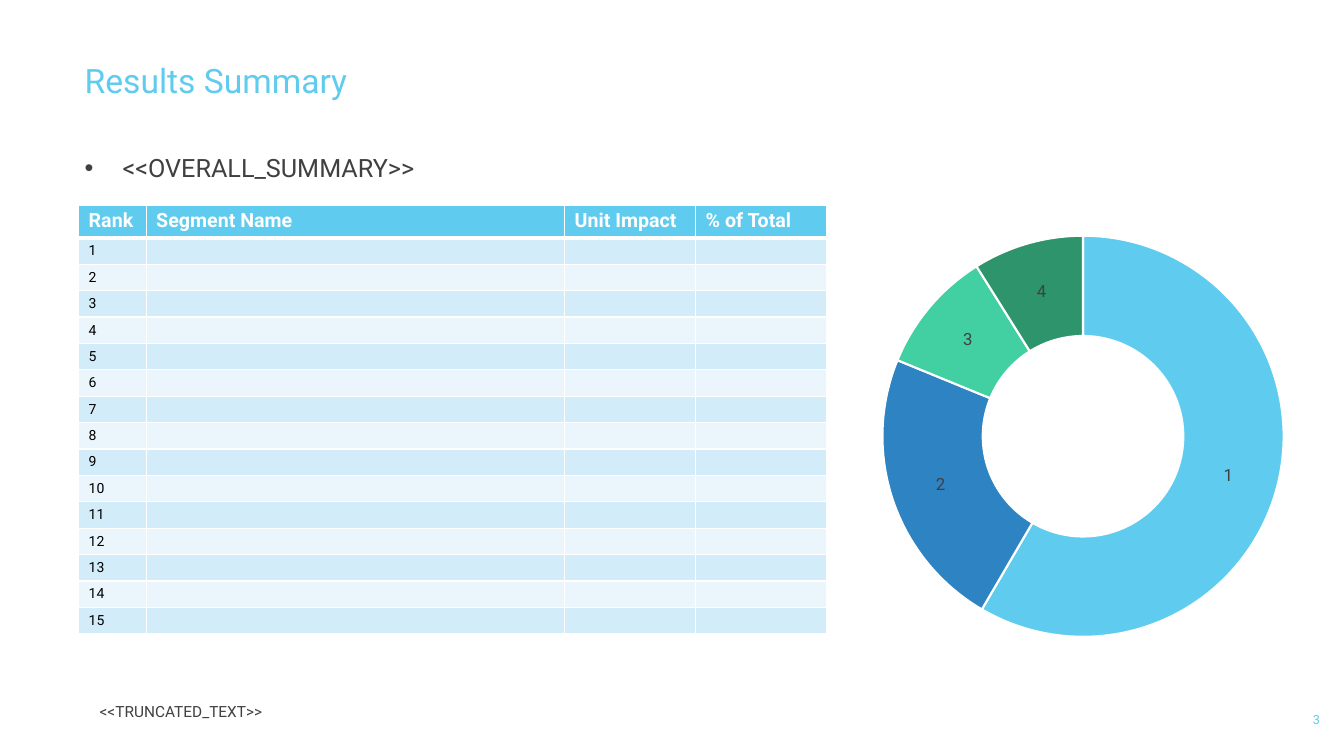
from lxml import etree
from pptx import Presentation
from pptx.chart.data import CategoryChartData
from pptx.dml.color import RGBColor
from pptx.enum.chart import XL_CHART_TYPE as ChartType
from pptx.enum.text import MSO_ANCHOR as Anchor, PP_ALIGN as Align
from pptx.oxml import parse_xml
from pptx.oxml.ns import nsdecls, qn
from pptx.util import Inches, Pt

FONT = "Roboto"
SKY, WHITE, GRAY, BLACK = "5FCBEF", "FFFFFF", "404040", "000000"
BANDS = ("D2ECF9", "EAF6FC")

TITLE = "Results Summary"
SUMMARY = "<<OVERALL_SUMMARY>>"
FOOTNOTE = "<<TRUNCATED_TEXT>>"
PAGE = "3"

COLUMNS = [("Rank", 0.67), ("Segment Name", 4.15), ("Unit Impact", 1.3), ("% of Total", 1.3)]
RANKS = range(1, 16)
HEADER_HEIGHT, ROW_HEIGHT = 0.32, 0.262

SEGMENTS = [("1", 59, SKY), ("2", 23, "2E83C3"), ("3", 10, "42D0A2"), ("4", 9, "2E946B")]
PLOT = {"x": 0.095, "y": 0.075, "w": 0.854, "h": 0.841}
HOLE = 45


def color(code):
    return RGBColor.from_string(code)


def style(font, size, code, bold=False):
    font.name, font.size, font.bold = FONT, Pt(size), bold
    font.color.rgb = color(code)


def write(shape, text, size, code, align=Align.LEFT, anchor=Anchor.TOP):
    frame = shape.text_frame
    frame.text = text
    frame.word_wrap = True
    frame.vertical_anchor = anchor
    line = frame.paragraphs[0]
    line.alignment = align
    line.space_before = Pt(0)
    style(line.runs[0].font, size, code)


def place(shape, left, top, width, height):
    shape.left, shape.top = Inches(left), Inches(top)
    shape.width, shape.height = Inches(width), Inches(height)


def add_label(slide, box, *text_args, **text_options):
    write(slide.shapes.add_textbox(*map(Inches, box)), *text_args, **text_options)


def set_borders(cell, bottom):
    properties = cell._tc.get_or_add_tcPr()
    for side, points in (("L", 1), ("R", 1), ("T", 1), ("B", bottom)):
        properties.append(parse_xml(
            f'<a:ln{side} {nsdecls("a")} w="{Pt(points)}"><a:solidFill>'
            f'<a:srgbClr val="{WHITE}"/></a:solidFill></a:ln{side}>'))


def fill_cell(cell, text, size, code, fill, bold, anchor, bottom):
    set_borders(cell, bottom)
    cell.fill.solid()
    cell.fill.fore_color.rgb = color(fill)
    cell.margin_top = cell.margin_bottom = Inches(0.04)
    cell.vertical_anchor = anchor
    line = cell.text_frame.paragraphs[0]
    if text:
        line.text = text
        style(line.runs[0].font, size, code, bold)
    else:  # an empty cell keeps its row low only with a small end mark
        etree.SubElement(line._p, qn("a:endParaRPr"), sz=str(size * 100))


def add_ranking(slide):
    height = HEADER_HEIGHT + ROW_HEIGHT * len(RANKS)
    width = sum(width for _, width in COLUMNS)
    frame = slide.shapes.add_table(len(RANKS) + 1, len(COLUMNS), Inches(0.78), Inches(2.04),
                                   Inches(width), Inches(height))
    ranking = frame.table
    ranking.rows[0].height = Inches(HEADER_HEIGHT)
    for col, (heading, width) in enumerate(COLUMNS):
        ranking.columns[col].width = Inches(width)
        fill_cell(ranking.cell(0, col), heading, 14, WHITE, SKY, True, Anchor.TOP, 3)
    for rank in RANKS:
        ranking.rows[rank].height = Inches(ROW_HEIGHT)
        for col in range(len(COLUMNS)):
            fill_cell(ranking.cell(rank, col), "" if col else str(rank), 10, BLACK,
                      BANDS[(rank - 1) % 2], False, Anchor.MIDDLE, 1)


def add_doughnut(slide):
    data = CategoryChartData()
    data.categories = [name for name, _, _ in SEGMENTS]
    data.add_series("Series 1", [value for _, value, _ in SEGMENTS])
    chart = slide.shapes.add_chart(ChartType.DOUGHNUT, Inches(8.31), Inches(1.98),
                                   Inches(4.66), Inches(4.74), data).chart
    chart.has_legend = chart.has_title = False
    style(chart.font, 10, BLACK)
    plot = chart.plots[0]
    plot.vary_by_categories = True
    for index, (_, _, code) in enumerate(SEGMENTS):
        look = plot.series[0].points[index].format
        look.fill.solid()
        look.fill.fore_color.rgb = color(code)
        look.line.color.rgb = color(WHITE)
        look.line.width = Pt(1.5)
    labels = plot.series[0].data_labels
    labels.show_category_name = True
    labels.show_value = labels.show_percentage = False
    style(labels.font, 12, GRAY)

    plot._element.find(qn("c:holeSize")).set("val", str(HOLE))
    area = chart._chartSpace.chart.plotArea
    for old in area.findall(qn("c:layout")):
        area.remove(old)
    sizes = "".join(f'<c:{key} val="{value}"/>' for key, value in PLOT.items())
    area.insert(0, parse_xml(
        f'<c:layout {nsdecls("c")}><c:manualLayout><c:layoutTarget val="inner"/>'
        f'<c:xMode val="edge"/><c:yMode val="edge"/>{sizes}</c:manualLayout></c:layout>'))


def main():
    deck = Presentation()
    deck.slide_width, deck.slide_height = Inches(13.33), Inches(7.5)
    slide = deck.slides.add_slide(deck.slide_layouts[1])

    title, summary = slide.shapes.title, slide.placeholders[1]
    place(title, 0.74, 0.54, 12.24, 0.69)
    write(title, TITLE, 24, SKY)
    place(summary, 0.74, 1.46, 12.26, 0.42)
    indent = summary.text_frame.paragraphs[0]._p.get_or_add_pPr()
    indent.set("marL", "0")
    indent.set("indent", "0")
    etree.SubElement(indent, qn("a:buNone"))
    write(summary, SUMMARY, 18, GRAY)

    add_ranking(slide)
    add_doughnut(slide)
    add_label(slide, (0.89, 6.92, 3.46, 0.29), FOOTNOTE, 11, GRAY)
    add_label(slide, (12.44, 6.94, 0.75, 0.4), PAGE, 9, SKY,
              align=Align.RIGHT, anchor=Anchor.MIDDLE)
    deck.save("out.pptx")


if __name__ == "__main__":
    main()
